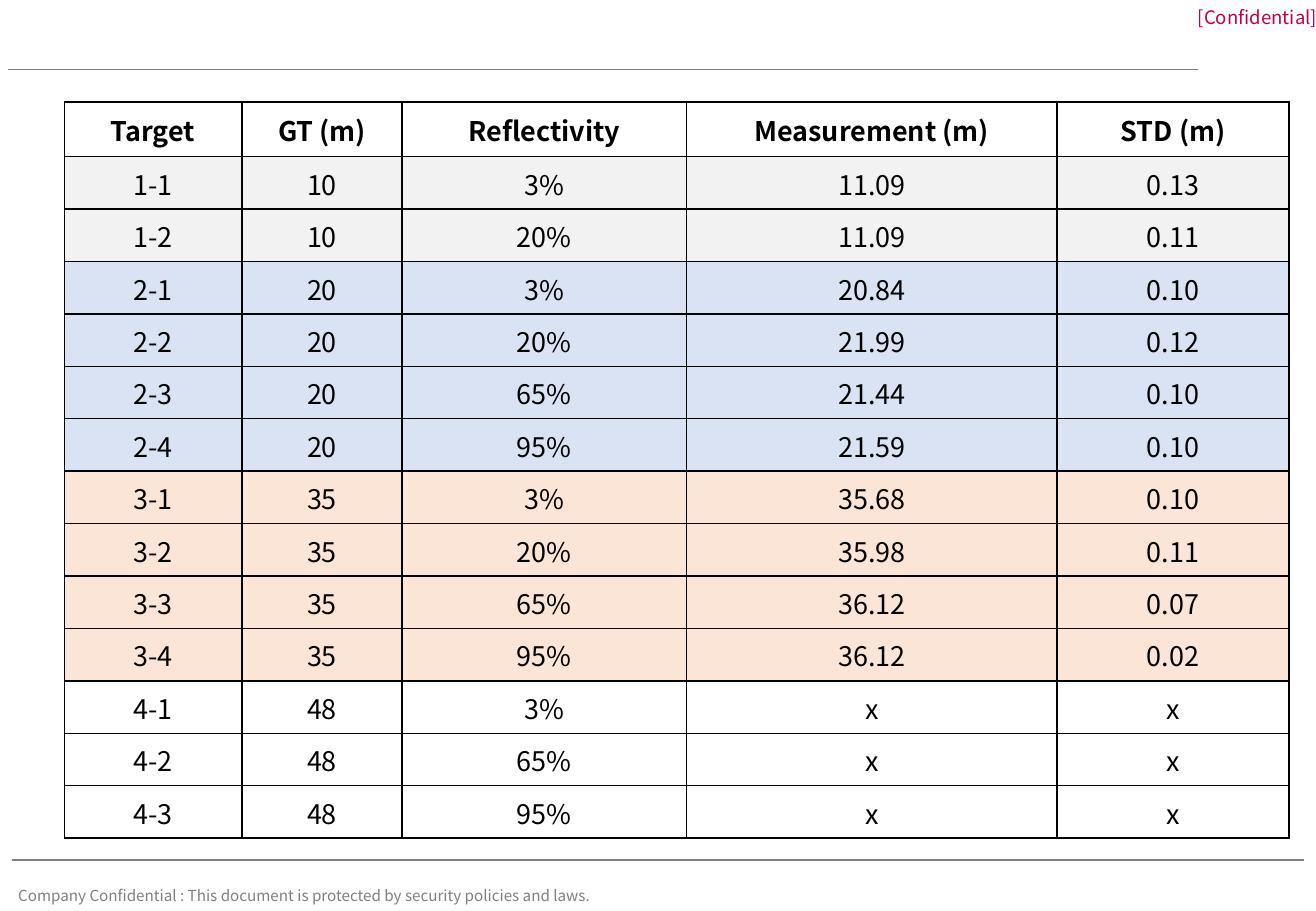
from lxml import etree
from pptx import Presentation
from pptx.dml.color import RGBColor
from pptx.enum.shapes import MSO_CONNECTOR
from pptx.enum.text import MSO_ANCHOR, MSO_AUTO_SIZE, PP_ALIGN
from pptx.oxml import parse_xml
from pptx.oxml.ns import nsdecls, qn
from pptx.util import Inches, Pt

STRAIGHT = MSO_CONNECTOR.STRAIGHT
MIDDLE = MSO_ANCHOR.MIDDLE
GROW = MSO_AUTO_SIZE.SHAPE_TO_FIT_TEXT
LEFT, CENTER, RIGHT = PP_ALIGN.LEFT, PP_ALIGN.CENTER, PP_ALIGN.RIGHT

FONT = "Noto Sans CJK KR"
BLACK = RGBColor(0x00, 0x00, 0x00)
WHITE = RGBColor(0xFF, 0xFF, 0xFF)
GRAY = RGBColor(0x80, 0x80, 0x80)
CRIMSON = RGBColor(0xC0, 0x00, 0x4B)
PALE_GRAY = RGBColor(0xF2, 0xF2, 0xF2)
PALE_BLUE = RGBColor(0xDA, 0xE3, 0xF3)
PALE_ORANGE = RGBColor(0xFB, 0xE5, 0xD6)


def write_text(paragraph, text, size, color, alignment, bold=False):
    paragraph.alignment = alignment
    run = paragraph.add_run()
    run.text = text
    run.font.color.rgb = color
    formats = {"name": FONT, "size": Pt(size), "bold": bold}
    for name, value in formats.items():
        setattr(run.font, name, value)


presentation = Presentation()
presentation.slide_width = Inches(10.83)
presentation.slide_height = Inches(7.5)
slide = presentation.slides.add_slide(presentation.slide_layouts[6])

notices = [
    ((0, 7.25, 5.07, 0.25),
     "Company Confidential : This document is protected by security policies and laws.",
     9, GRAY, LEFT),
    ((9.52, 0, 1.32, 0.28), "[Confidential]", 11, CRIMSON, RIGHT),
]
frame_formats = {
    "margin_left": 0, "margin_right": 0, "margin_top": 0, "margin_bottom": 0,
    "vertical_anchor": MIDDLE, "word_wrap": True, "auto_size": GROW,
}
for place, text, size, color, alignment in notices:
    frame = slide.shapes.add_textbox(*map(Inches, place)).text_frame
    for name, value in frame_formats.items():
        setattr(frame, name, value)
    write_text(frame.paragraphs[0], text, size, color, alignment)
    if alignment == LEFT:
        frame.margin_left = Inches(0.15)

for start, end, y, width in [(0.07, 9.86, 0.57, 0.75), (0.1, 10.73, 7.08, 1.5)]:
    rule = slide.shapes.add_connector(
        STRAIGHT, Inches(start), Inches(y), Inches(end), Inches(y))
    rule.line.color.rgb = GRAY
    rule.line.width = Pt(width)
    etree.SubElement(rule._element.spPr, qn("a:effectLst"))

headers = ["Target", "GT (m)", "Reflectivity", "Measurement (m)", "STD (m)"]
groups = [
    ("10", PALE_GRAY, [("3%", "11.09", "0.13"), ("20%", "11.09", "0.11")]),
    ("20", PALE_BLUE, [("3%", "20.84", "0.10"), ("20%", "21.99", "0.12"),
                       ("65%", "21.44", "0.10"), ("95%", "21.59", "0.10")]),
    ("35", PALE_ORANGE, [("3%", "35.68", "0.10"), ("20%", "35.98", "0.11"),
                         ("65%", "36.12", "0.07"), ("95%", "36.12", "0.02")]),
    ("48", WHITE, [("3%", "x", "x"), ("65%", "x", "x"), ("95%", "x", "x")]),
]
rows = [(headers, WHITE)]
for group_number, (distance, color, readings) in enumerate(groups, 1):
    for number, reading in enumerate(readings, 1):
        rows.append(([f"{group_number}-{number}", distance, *reading], color))

column_widths = [1.46, 1.32, 2.34, 3.05, 1.91]
table_height, header_height = 6.06, 0.45
row_height = (table_height - header_height) / (len(rows) - 1)
table = slide.shapes.add_table(
    len(rows), len(headers), Inches(0.53), Inches(0.84),
    Inches(sum(column_widths)), Inches(table_height)).table
table.first_row = False
table.horz_banding = False
for column, width in zip(table.columns, column_widths):
    column.width = Inches(width)

cell_formats = {
    "margin_left": Inches(0.01), "margin_right": Inches(0.01),
    "margin_top": Inches(0.01), "margin_bottom": 0, "vertical_anchor": MIDDLE,
}
for row_index, (texts, color) in enumerate(rows):
    is_header = row_index == 0
    table.rows[row_index].height = Inches(header_height if is_header else row_height)
    for cell, text in zip(table.rows[row_index].cells, texts):
        for name, value in cell_formats.items():
            setattr(cell, name, value)
        properties = cell._tc.get_or_add_tcPr()
        for side in ("lnL", "lnR", "lnT", "lnB"):
            properties.append(parse_xml(
                f'<a:{side} {nsdecls("a")} w="{Pt(1)}"><a:solidFill>'
                f'<a:srgbClr val="{BLACK}"/></a:solidFill></a:{side}>'))
        cell.fill.solid()
        cell.fill.fore_color.rgb = color
        write_text(cell.text_frame.paragraphs[0], text, 16, BLACK, CENTER, is_header)

presentation.save("out.pptx")
